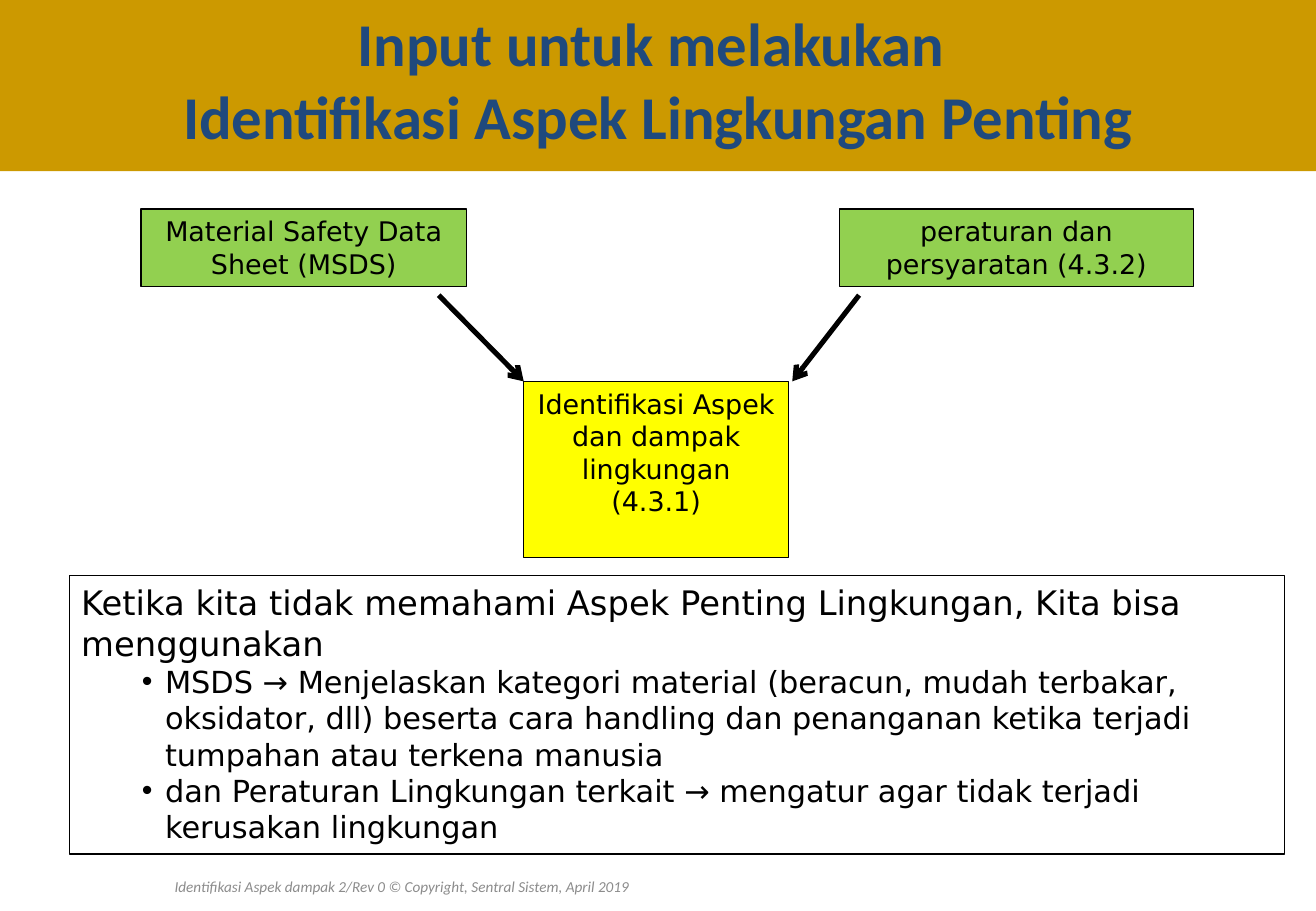
from lxml.etree import SubElement
from pptx import Presentation
from pptx.dml.color import RGBColor as RGB
from pptx.enum.shapes import MSO_CONNECTOR as CONN, MSO_SHAPE as SHAPE
from pptx.enum.text import MSO_ANCHOR as ANCHOR, PP_ALIGN as ALIGN
from pptx.oxml.ns import qn
from pptx.util import Inches, Pt

COLORS = {"black": "000000", "white": "FFFFFF", "green": "92D050",
          "yellow": "FFFF00", "gold": "CC9900", "navy": "1F497D", "gray": "8C8C8C"}


def color(name):
    return RGB.from_string(COLORS[name])


def write(shape, lines, face, size, ink, align=ALIGN.CENTER, anchor=ANCHOR.TOP):
    frame = shape.text_frame
    frame.word_wrap = True
    frame.vertical_anchor = anchor
    frame.text = "\n".join(lines)
    for para in frame.paragraphs:
        para.alignment = align
        for run in para.runs:
            run.font.name = face
            run.font.size = Pt(size)
            run.font.color.rgb = color(ink)
    return frame.paragraphs


deck = Presentation()
deck.slide_width, deck.slide_height = Inches(10.83), Inches(7.5)
slide = deck.slides.add_slide(deck.slide_layouts[6])
shapes = slide.shapes

foot = shapes.add_textbox(Inches(0.1), Inches(7.1), Inches(6.41), Inches(0.4))
line = "Identifikasi Aspek dampak 2/Rev 0 © Copyright, Sentral Sistem, April 2019"
paras = write(foot, [line], "Calibri", 9, "gray", anchor=ANCHOR.MIDDLE)
paras[0].runs[0].font.italic = True

boxes = {}
for name, fill, x, y, w, h in [
    ("rules", "green", 6.91, 1.72, 2.91, 0.64),
    ("aspect", "yellow", 4.31, 3.14, 2.18, 1.45),
    ("sheet", "green", 1.16, 1.72, 2.68, 0.64),
    ("title", "gold", 0, 0, 10.83, 1.41),
    ("notes", "white", 0.57, 4.74, 10, 2.29),
]:
    box = shapes.add_shape(SHAPE.RECTANGLE, Inches(x), Inches(y), Inches(w), Inches(h))
    box.shadow.inherit = False
    box.fill.solid()
    box.fill.fore_color.rgb = color(fill)
    if name == "title":
        box.line.fill.background()
    else:
        box.line.color.rgb = color("black")
        box.line.width = Pt(0.75)
    boxes[name] = box

for name, text in [
    ("rules", "peraturan dan persyaratan (4.3.2)"),
    ("aspect", "Identifikasi Aspek dan dampak lingkungan (4.3.1)"),
    ("sheet", "Material Safety Data Sheet (MSDS)"),
]:
    write(boxes[name], [text], "DejaVu Sans", 16, "black")

title = ["Input untuk melakukan ", "Identifikasi Aspek Lingkungan Penting"]
for para in write(boxes["title"], title, "Calibri", 36, "navy"):
    para.runs[0].font.bold = True

notes = [
    "Ketika kita tidak memahami Aspek Penting Lingkungan, Kita bisa menggunakan",
    "MSDS → Menjelaskan kategori material (beracun, mudah terbakar, oksidator, dll) "
    "beserta cara handling dan penanganan ketika terjadi tumpahan atau terkena manusia",
    "dan Peraturan Lingkungan terkait → mengatur agar tidak terjadi kerusakan lingkungan",
]
paras = write(boxes["notes"], notes, "DejaVu Sans", 20, "black", ALIGN.LEFT)
for para in paras[1:]:
    para.level = 1
    props = para._p.get_or_add_pPr()
    props.set("marL", str(Inches(0.69)))
    props.set("indent", str(Inches(-0.19)))
    SubElement(props, qn("a:buFont"), typeface="Arial")
    SubElement(props, qn("a:buChar"), char="•")
    para.runs[0].font.size = Pt(18)

for start, end in [(3.61, 4.31), (7.07, 6.52)]:
    arrow = shapes.add_connector(CONN.STRAIGHT, Inches(start), Inches(2.43),
                                 Inches(end), Inches(3.14))
    arrow.line.color.rgb = color("black")
    arrow.line.width = Pt(3)
    SubElement(arrow.line._get_or_add_ln(), qn("a:tailEnd"), type="arrow")
    SubElement(arrow._element.spPr, qn("a:effectLst"))

deck.save("out.pptx")
